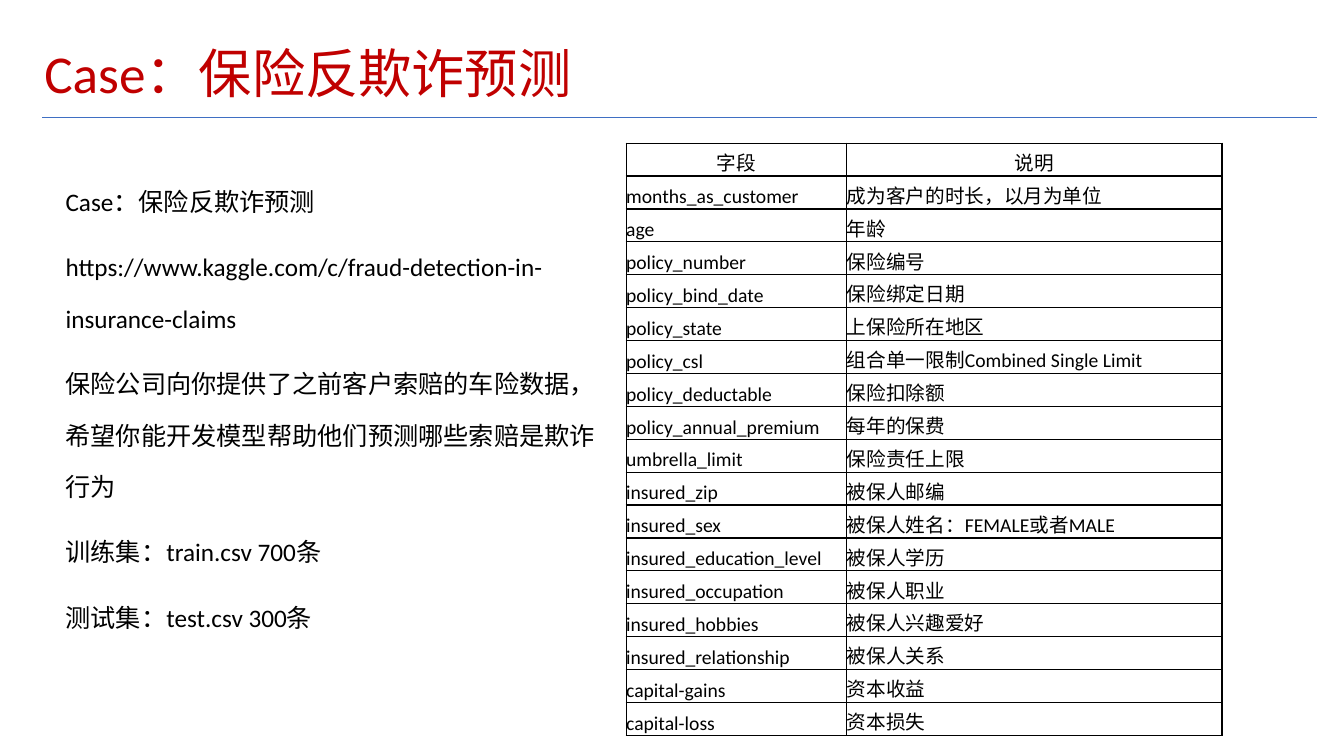
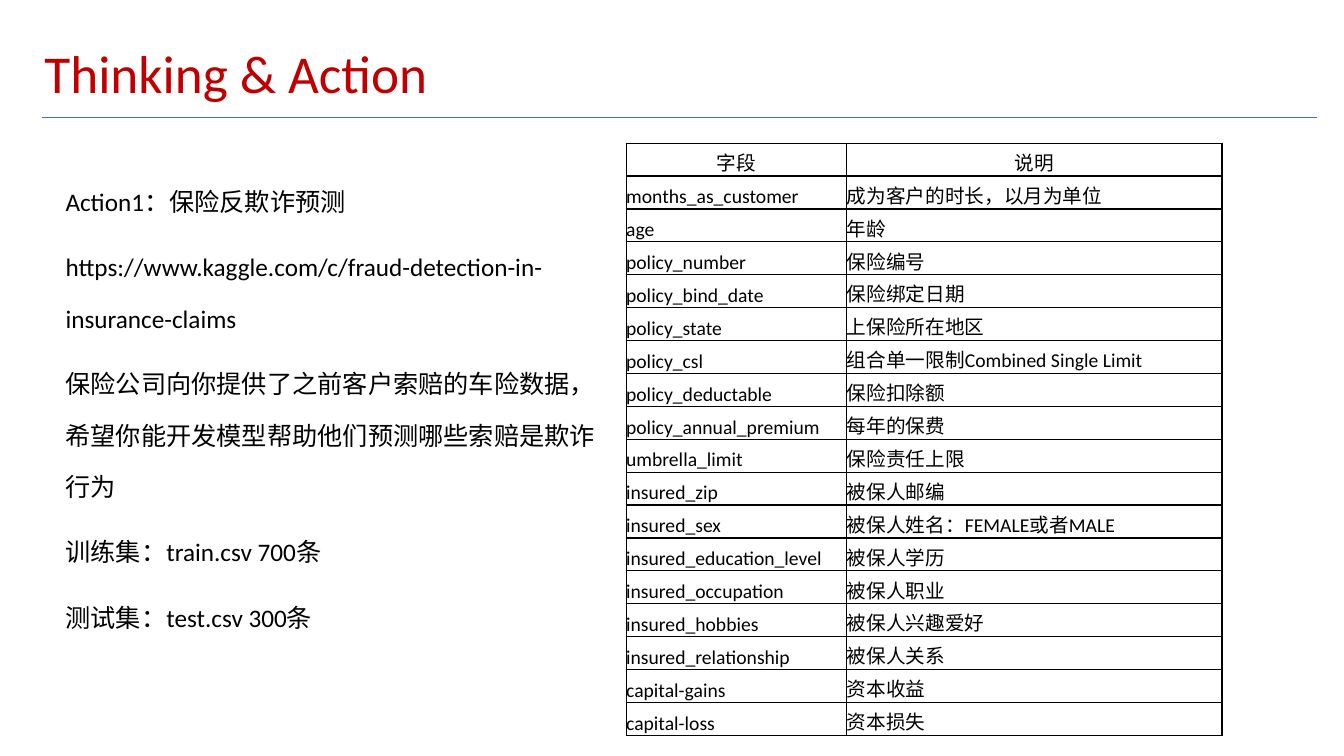
from dataclasses import dataclass

from lxml import etree
from pptx import Presentation
from pptx.dml.color import RGBColor
from pptx.enum.lang import MSO_LANGUAGE_ID
from pptx.enum.shapes import MSO_CONNECTOR
from pptx.enum.text import MSO_ANCHOR, PP_ALIGN
from pptx.oxml.ns import qn
from pptx.slide import Slide
from pptx.table import _Cell
from pptx.text.text import TextFrame, _Paragraph
from pptx.util import Inches, Pt

STRAIGHT = MSO_CONNECTOR.STRAIGHT
CHINESE = MSO_LANGUAGE_ID.SIMPLIFIED_CHINESE
TOP, MIDDLE, BOTTOM = MSO_ANCHOR.TOP, MSO_ANCHOR.MIDDLE, MSO_ANCHOR.BOTTOM
LEFT, CENTER, JUSTIFY = PP_ALIGN.LEFT, PP_ALIGN.CENTER, PP_ALIGN.JUSTIFY

COLORS = {"title": "C00000", "text": "000000", "rule": "3F6FC3", "border": "000000"}
FONT = "Calibri"
BLANK_LAYOUT = 6
COLUMN_WIDTHS = (2.19, 3.72)
TABLE_HEIGHT = 5.88
BORDER_TAGS = ("a:lnL", "a:lnR", "a:lnT", "a:lnB")


@dataclass(frozen=True)
class CaseSlide:
    title: str
    topic: str


@dataclass(frozen=True)
class Field:
    name: str
    meaning: str


CASE_SLIDES = (
    CaseSlide("Case：保险反欺诈预测", "Case：保险反欺诈预测"),
    CaseSlide("Thinking & Action", "Action1：保险反欺诈预测"),
)

TASK_LINES = (
    "https://www.kaggle.com/c/fraud-detection-in-insurance-claims",
    "保险公司向你提供了之前客户索赔的车险数据，希望你能开发模型帮助他们预测哪些索赔是欺诈行为",
    "训练集：train.csv 700条",
    "测试集：test.csv 300条",
)

FIELDS = (
    Field("字段", "说明"),
    Field("months_as_customer", "成为客户的时长，以月为单位"),
    Field("age", "年龄"),
    Field("policy_number", "保险编号"),
    Field("policy_bind_date", "保险绑定日期"),
    Field("policy_state", "上保险所在地区"),
    Field("policy_csl", "组合单一限制Combined Single Limit"),
    Field("policy_deductable", "保险扣除额"),
    Field("policy_annual_premium", "每年的保费"),
    Field("umbrella_limit", "保险责任上限"),
    Field("insured_zip", "被保人邮编"),
    Field("insured_sex", "被保人姓名：FEMALE或者MALE"),
    Field("insured_education_level", "被保人学历"),
    Field("insured_occupation", "被保人职业"),
    Field("insured_hobbies", "被保人兴趣爱好"),
    Field("insured_relationship", "被保人关系"),
    Field("capital-gains", "资本收益"),
    Field("capital-loss", "资本损失"),
)


def add_run(paragraph: _Paragraph, text: str, size: float, color: str) -> None:
    run = paragraph.add_run()
    run.text = text
    run.font.name = FONT
    run.font.size = Pt(size)
    run.font.language_id = CHINESE
    run.font.color.rgb = RGBColor.from_string(COLORS[color])


def add_text_frame(slide: Slide, left: float, top: float, width: float,
                   height: float, anchor: MSO_ANCHOR) -> TextFrame:
    shape = slide.shapes.add_textbox(
        Inches(left), Inches(top), Inches(width), Inches(height))
    frame = shape.text_frame
    frame.word_wrap = True
    frame.vertical_anchor = anchor
    frame.margin_left = frame.margin_right = Inches(0.05)
    frame.margin_top = frame.margin_bottom = Inches(0.05)
    return frame


def add_title(slide: Slide, title: str) -> None:
    rule = slide.shapes.add_connector(
        STRAIGHT, Inches(0.42), Inches(1.17), Inches(13.06), Inches(1.17))
    rule.line.color.rgb = RGBColor.from_string(COLORS["rule"])
    rule.line.width = Pt(0.75)
    etree.SubElement(rule._element.spPr, qn("a:effectLst"))

    paragraph = add_text_frame(slide, 0.39, 0.4, 11.13, 0.71, MIDDLE).paragraphs[0]
    paragraph.alignment = JUSTIFY
    paragraph.line_spacing = 0.9
    add_run(paragraph, title, 38, "title")


def add_task(slide: Slide, topic: str) -> None:
    frame = add_text_frame(slide, 0.6, 1.59, 5.39, 5.4, TOP)
    for index, text in enumerate((topic, *TASK_LINES)):
        paragraph = frame.add_paragraph() if index else frame.paragraphs[0]
        paragraph.line_spacing = 1.7
        if index:
            paragraph.space_before = Pt(10)
        add_run(paragraph, text, 18, "text")


def set_borders(cell: _Cell) -> None:
    properties = cell._tc.get_or_add_tcPr()
    for tag in BORDER_TAGS:
        border = etree.SubElement(properties, qn(tag), w=str(Pt(1)))
        fill = etree.SubElement(border, qn("a:solidFill"))
        etree.SubElement(fill, qn("a:srgbClr"), val=COLORS["border"])


def fill_cell(cell: _Cell, text: str, alignment: PP_ALIGN) -> None:
    set_borders(cell)
    cell.fill.background()
    cell.vertical_anchor = BOTTOM
    cell.margin_left = cell.margin_right = Inches(0)
    cell.margin_top = cell.margin_bottom = Inches(0)
    paragraph = cell.text_frame.paragraphs[0]
    paragraph.alignment = alignment
    add_run(paragraph, text, 14, "text")


def add_field_table(slide: Slide) -> None:
    table = slide.shapes.add_table(
        len(FIELDS), len(COLUMN_WIDTHS), Inches(6.21), Inches(1.42),
        Inches(sum(COLUMN_WIDTHS)), Inches(TABLE_HEIGHT)).table
    table.first_row = False
    table.horz_banding = False
    for column, width in zip(table.columns, COLUMN_WIDTHS):
        column.width = Inches(width)
    for row_index, field in enumerate(FIELDS):
        alignment = LEFT if row_index else CENTER
        for column_index, text in enumerate((field.name, field.meaning)):
            fill_cell(table.cell(row_index, column_index), text, alignment)


def main() -> None:
    presentation = Presentation()
    presentation.slide_width = Inches(13.33)
    presentation.slide_height = Inches(7.5)
    for case in CASE_SLIDES:
        slide = presentation.slides.add_slide(presentation.slide_layouts[BLANK_LAYOUT])
        add_title(slide, case.title)
        add_task(slide, case.topic)
        add_field_table(slide)
    presentation.save("out.pptx")


if __name__ == "__main__":
    main()
